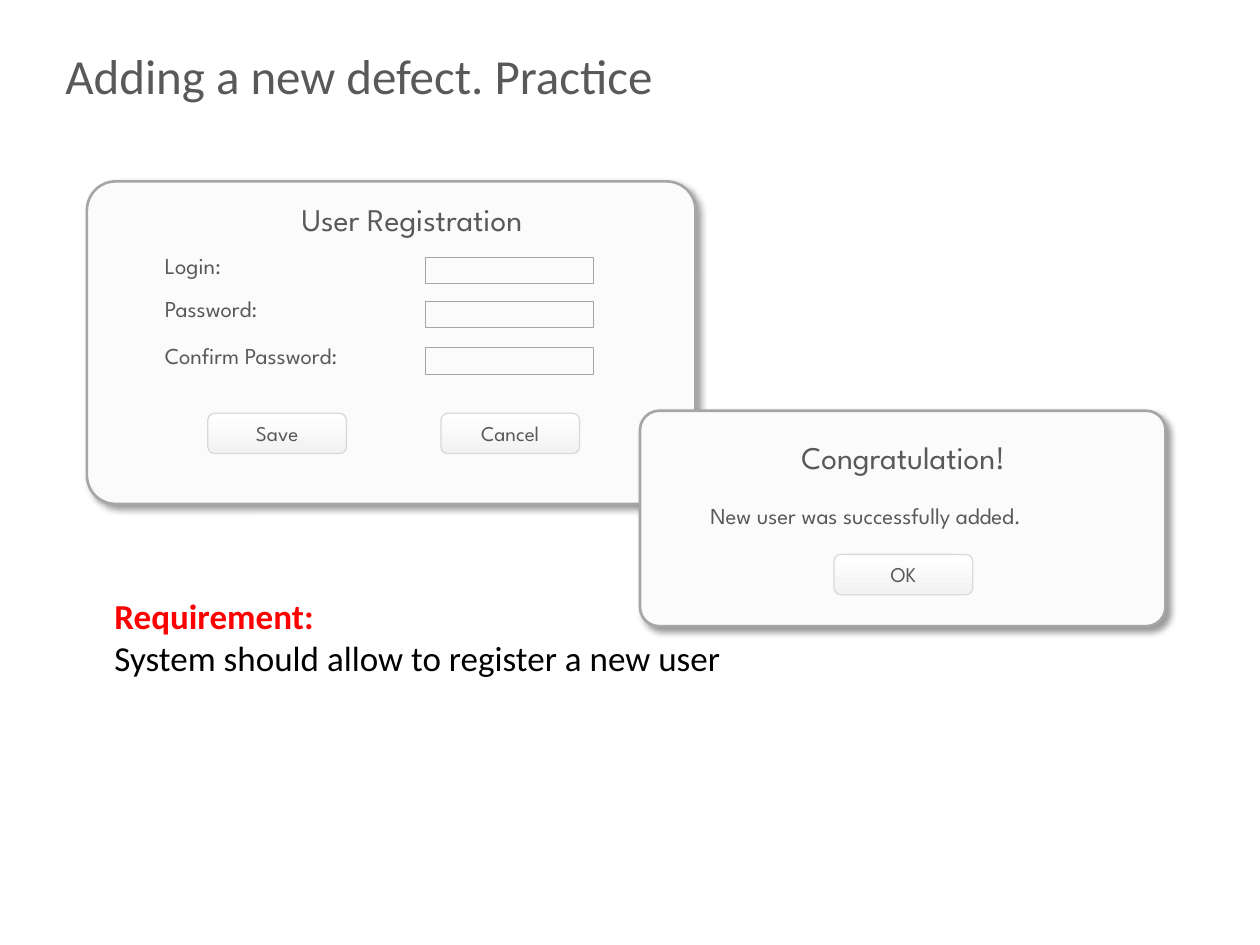
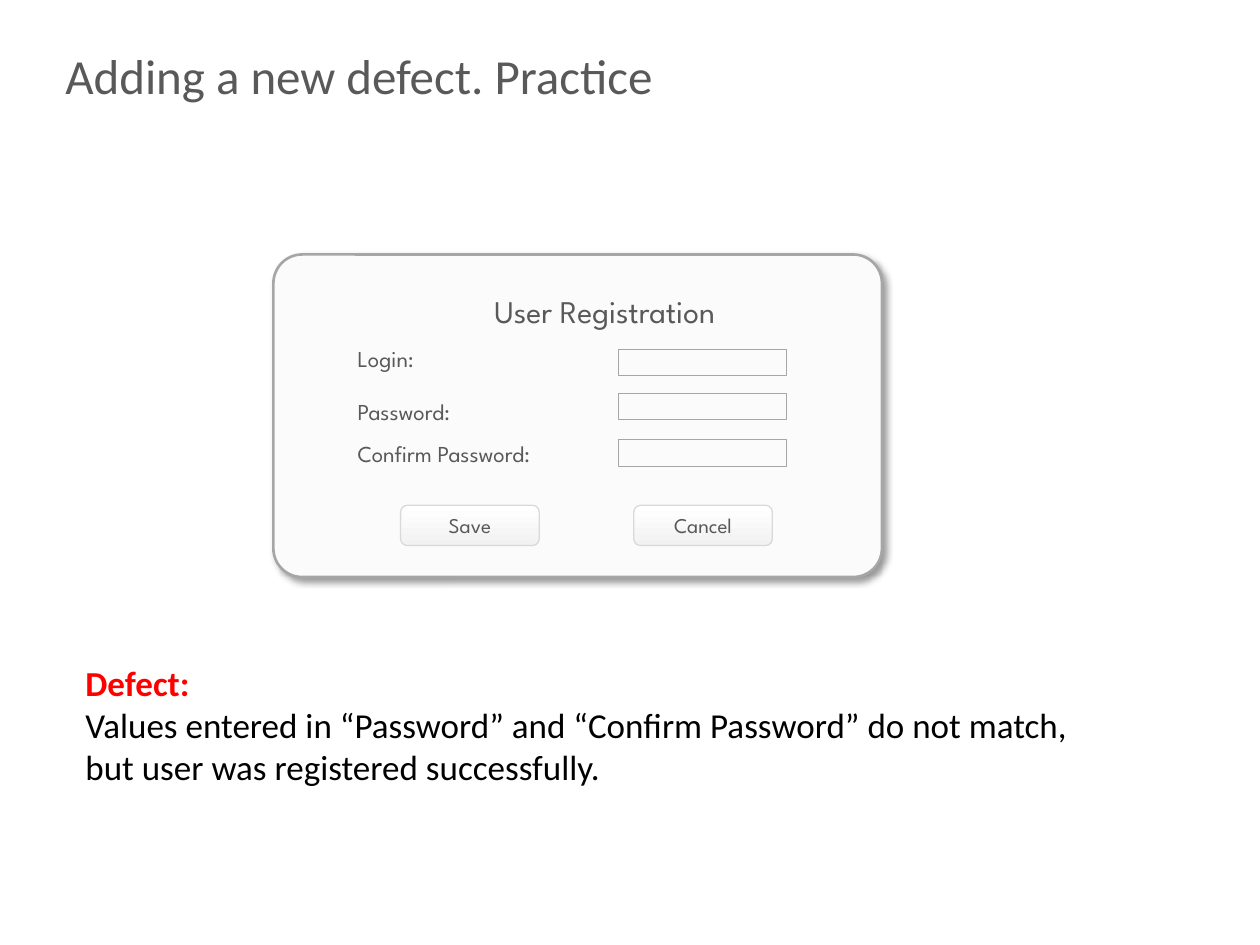
from lxml.etree import SubElement
from pptx import Presentation
from pptx.dml.color import RGBColor
from pptx.enum.shapes import MSO_SHAPE as SHAPE
from pptx.enum.text import MSO_ANCHOR as ANCHOR, MSO_AUTO_SIZE as AUTO, PP_ALIGN as ALIGN
from pptx.oxml.ns import qn
from pptx.util import Inches, Pt

COLORS = {
    "text": "595959",
    "accent": "FF0000",
    "body": "000000",
    "panel": "FBFBFB",
    "border": "A6A6A6",
    "button_top": "FFFFFF",
    "button_bottom": "F2F2F2",
    "button_line": "D9D9D9",
}
TITLE = "Adding a new defect. Practice"
LABELS = [("Login:", 0.75, False), ("Password:", 1.27, True), ("Confirm Password:", 2.06, True)]
FIELD_OFFSETS = [0.5, 0.85, 1.22]


def color(name):
    return RGBColor.from_string(COLORS[name])


class Deck:
    body_font = "Calibri"
    ui_font = "League Spartan"

    def __init__(self):
        self.prs = Presentation()
        self.prs.slide_width, self.prs.slide_height = Inches(10), Inches(7.5)

    def slide(self):
        self.s = self.prs.slides.add_slide(self.prs.slide_layouts[6])
        self.shapes = self.s.shapes
        self.text(TITLE, 0.42, 0.31, 4.92, 0.57, 28, self.body_font)

    def group(self):
        self.shapes = self.s.shapes.add_group_shape().shapes

    def ungroup(self):
        self.shapes = self.s.shapes

    def style(self, p, size, font, name="text", bold=False, align=ALIGN.LEFT):
        p.alignment = align
        p.font.size = Pt(size)
        p.font.name = font
        p.font.bold = bold
        p.font.color.rgb = color(name)

    def text(self, text, x, y, w, h, size, font, align=ALIGN.LEFT, wrap=False):
        box = self.shapes.add_textbox(Inches(x), Inches(y), Inches(w), Inches(h))
        tf = box.text_frame
        tf.word_wrap = wrap
        tf.auto_size = AUTO.SHAPE_TO_FIT_TEXT
        tf.text = text
        self.style(tf.paragraphs[0], size, font, align=align)
        return tf

    def heading(self, text, x, y, w):
        self.text(text, x, y, w, 0.39, 18, self.ui_font, ALIGN.CENTER)

    def label(self, text, x, y, w, wrap=False):
        self.text(text, x, y, w, 0.31, 13, self.ui_font, wrap=wrap)

    def note(self, heading, body, x, y, w, h):
        tf = self.text(heading, x, y, w, h, 20, self.body_font, wrap=True)
        self.style(tf.paragraphs[0], 20, self.body_font, "accent", True)
        p = tf.add_paragraph()
        p.text = body
        self.style(p, 20, self.body_font, "body")

    def shape(self, kind, x, y, w, h, line, width):
        sp = self.shapes.add_shape(kind, Inches(x), Inches(y), Inches(w), Inches(h))
        sp.shadow.inherit = False
        sp.line.color.rgb = color(line)
        sp.line.width = Pt(width)
        return sp

    def panel(self, x, y, w, h):
        sp = self.shape(SHAPE.ROUNDED_RECTANGLE, x, y, w, h, "border", 1.5)
        sp.adjustments[0] = 0.089
        sp.fill.solid()
        sp.fill.fore_color.rgb = color("panel")
        effects = sp.element.spPr.find(qn("a:effectLst"))
        shadow = SubElement(effects, qn("a:outerShdw"), blurRad=str(Pt(4)), dist=str(Pt(3)),
                            dir="2700000", algn="tl", rotWithShape="0")
        tint = SubElement(shadow, qn("a:srgbClr"), val=COLORS["body"])
        SubElement(tint, qn("a:alpha"), val="40000")

    def field(self, x, y):
        self.shape(SHAPE.RECTANGLE, x, y, 1.33, 0.21, "border", 0.5).fill.background()

    def button(self, text, x, y):
        sp = self.shape(SHAPE.ROUNDED_RECTANGLE, x, y, 1.1, 0.32, "button_line", 0.75)
        sp.fill.gradient()
        sp.fill.gradient_angle = 270
        for stop, name in zip(sp.fill.gradient_stops, ("button_top", "button_bottom")):
            stop.color.rgb = color(name)
        tf = sp.text_frame
        tf.vertical_anchor = ANCHOR.MIDDLE
        tf.text = text
        self.style(tf.paragraphs[0], 12, self.ui_font, align=ALIGN.CENTER)

    def registration(self, panel_x, panel_y, x, y, label_offsets):
        self.group()
        self.panel(panel_x, panel_y, 4.83, 2.56)
        self.heading("User Registration", x + 0.89, y, 2.34)
        for (text, w, wrap), dy in zip(LABELS, label_offsets):
            self.label(text, x, y + dy, w, wrap)
        for text, dx in (("Save", 0.44), ("Cancel", 2.29)):
            self.button(text, x + dx, y + 1.74)
        for dy in FIELD_OFFSETS:
            self.field(x + 2.17, y + dy)
        self.ungroup()

    def confirmation(self, x, y):
        self.group()
        self.panel(x, y, 4.17, 1.71)
        self.heading("Congratulation!", x + 1.04, y + 0.17, 2.1)
        self.label("New user was successfully added.", x + 0.46, y + 0.67, 3.25)
        self.button("OK", x + 1.54, y + 1.14)
        self.ungroup()


deck = Deck()

deck.slide()
deck.registration(0.69, 1.44, 1.21, 1.54, [0.41, 0.75, 1.12])
deck.note("Requirement:", "System should allow to register a new user", 0.81, 4.67, 5.83, 0.77)
deck.confirmation(5.08, 3.26)

deck.slide()
deck.registration(2.17, 2.02, 2.74, 2.27, [0.42, 0.84, 1.17])
deck.note("Defect:",
          "Values entered in “Password” and “Confirm Password” do not match, "
          "but user was registered successfully.",
          0.58, 5.2, 8.26, 1.11)

deck.prs.save("out.pptx")
